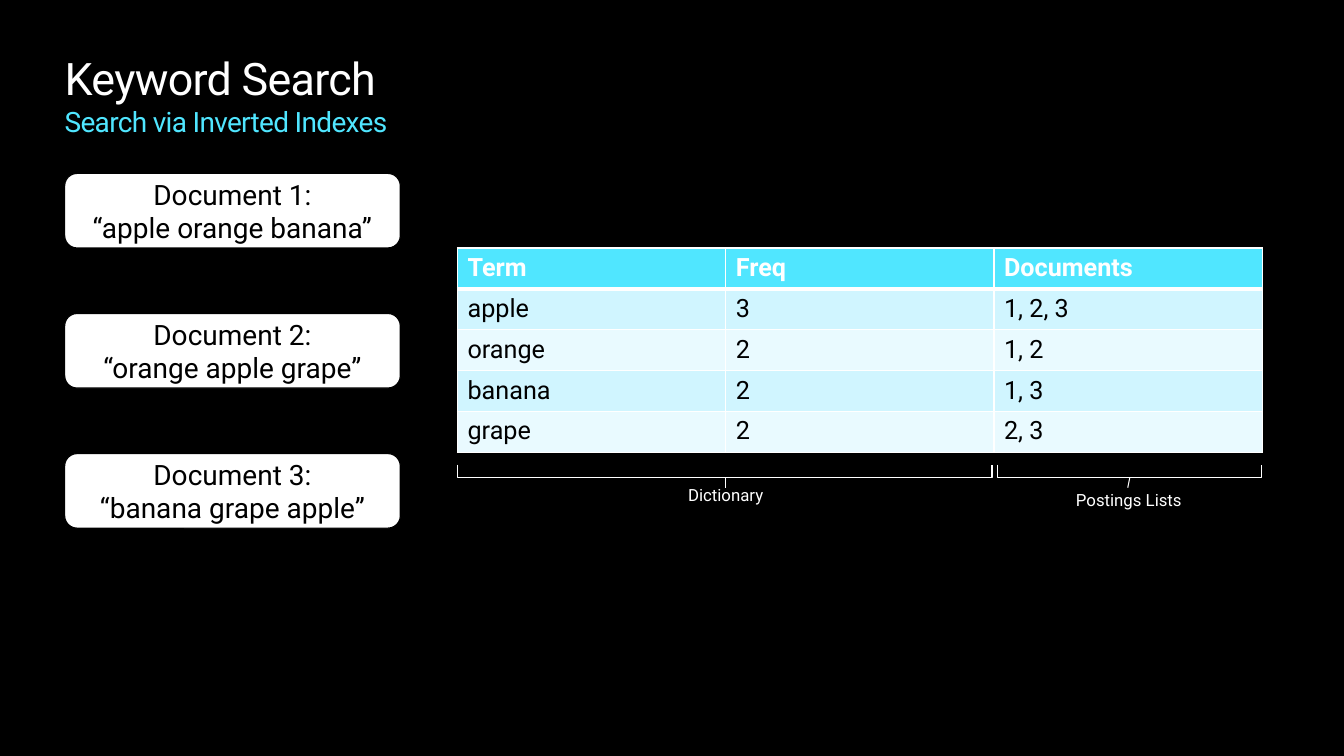
from pptx import Presentation
from pptx.dml.color import RGBColor
from pptx.enum.shapes import MSO_CONNECTOR as Connector, MSO_SHAPE as Preset
from pptx.enum.text import MSO_ANCHOR as Anchor, PP_ALIGN as Align
from pptx.oxml.ns import qn
from pptx.util import Cm, Pt
from lxml.etree import SubElement

FONT = "Roboto"
BLACK, WHITE, CYAN = "000000", "FFFFFF", "50E6FF"
BANDS = ("D0F5FF", "E9FAFF")
MARGIN = 1.63
TABLE_LEFT, TABLE_TOP = 11.53, 6.25
COLUMN_WIDTH, ROW_HEIGHT = 6.76, 1.03
BRACKET_TOP, BRACKET_BOTTOM, STEM_BOTTOM = 11.71, 12.04, 12.29

DOCUMENTS = ("apple orange banana", "orange apple grape", "banana grape apple")
INDEX = (
    ("Term", "Freq", "Documents"),
    ("apple", "3", "1, 2, 3"),
    ("orange", "2", "1, 2"),
    ("banana", "2", "1, 3"),
    ("grape", "2", "2, 3"),
)


def rgb(value):
    """Turn a hex string into a colour."""
    return RGBColor.from_string(value)


def style_font(font, size, color, bold=False):
    """Set the face, size, colour and weight of a font."""
    font.name, font.size, font.bold = FONT, Pt(size), bold
    font.color.rgb = rgb(color)


def clear_margins(text_frame):
    """Wrap the text and remove the insets."""
    text_frame.word_wrap = True
    text_frame.margin_left = text_frame.margin_right = 0
    text_frame.margin_top = text_frame.margin_bottom = 0


def add_text_frame(slide, left, top, width, height):
    """Add a text box and return its text frame."""
    box = slide.shapes.add_textbox(Cm(left), Cm(top), Cm(width), Cm(height))
    clear_margins(box.text_frame)
    return box.text_frame


def add_title(slide, title, subtitle):
    """Add the title with its subtitle on the next line."""
    text_frame = add_text_frame(slide, MARGIN, 1.27, 30.61, 2.24)
    paragraph = text_frame.paragraphs[0]
    paragraph.text = f"{title}\v{subtitle}"
    for run, size, color in zip(paragraph.runs, (32, 20), (WHITE, CYAN)):
        style_font(run.font, size, color)
        run.font._element.set("spc", "-50")


def add_document(slide, number, content):
    """Add one document card."""
    top = 4.37 + 3.53 * (number - 1)
    shape = slide.shapes.add_shape(
        Preset.ROUNDED_RECTANGLE, Cm(MARGIN), Cm(top), Cm(8.46), Cm(1.88))
    shape.shadow.inherit = False
    shape.fill.solid()
    shape.fill.fore_color.rgb = rgb(WHITE)
    shape.line.color.rgb = rgb(BLACK)
    shape.line.width = Pt(0.85)
    text_frame = shape.text_frame
    clear_margins(text_frame)
    text_frame.vertical_anchor = Anchor.MIDDLE
    text_frame.text = f"Document {number}:\n“{content}”"
    for paragraph in text_frame.paragraphs:
        paragraph.alignment = Align.CENTER
        style_font(paragraph.runs[0].font, 20, BLACK)


def add_cell_borders(cell, top, bottom):
    """Draw white borders around a cell, widths in points."""
    properties = cell._tc.get_or_add_tcPr()
    for tag, width in (("lnL", 1), ("lnR", 1), ("lnT", top), ("lnB", bottom)):
        line = SubElement(properties, qn(f"a:{tag}"), w=str(Pt(width)))
        fill = SubElement(line, qn("a:solidFill"))
        SubElement(fill, qn("a:srgbClr"), val=WHITE)


def add_index_table(slide):
    """Add the inverted index with a header and banded rows."""
    row_count, column_count = len(INDEX), len(INDEX[0])
    table = slide.shapes.add_table(
        row_count, column_count, Cm(TABLE_LEFT), Cm(TABLE_TOP),
        Cm(COLUMN_WIDTH * column_count), Cm(ROW_HEIGHT * row_count)).table
    for column in table.columns:
        column.width = Cm(COLUMN_WIDTH)
    for row_number, values in enumerate(INDEX):
        table.rows[row_number].height = Cm(ROW_HEIGHT)
        header = row_number == 0
        for column_number, value in enumerate(values):
            cell = table.cell(row_number, column_number)
            add_cell_borders(cell, 3 if row_number == 1 else 1, 3 if header else 1)
            cell.fill.solid()
            cell.fill.fore_color.rgb = rgb(CYAN if header else BANDS[(row_number - 1) % 2])
            cell.text_frame.text = value
            font = cell.text_frame.paragraphs[0].runs[0].font
            style_font(font, 18, WHITE if header else BLACK, header)


def style_line(shape):
    """Give an outline the thin white stroke."""
    shape.line.color.rgb = rgb(WHITE)
    shape.line.width = Pt(0.75)


def add_bracket(slide, left, right, stem_top_x, stem_bottom_x):
    """Add an open bracket below the table with its stem."""
    builder = slide.shapes.build_freeform(Cm(left), Cm(BRACKET_TOP))
    corners = ((left, BRACKET_BOTTOM), (right, BRACKET_BOTTOM), (right, BRACKET_TOP))
    builder.add_line_segments([(Cm(x), Cm(y)) for x, y in corners], close=False)
    bracket = builder.convert_to_shape()
    bracket.shadow.inherit = False
    bracket.fill.background()
    style_line(bracket)
    stem = slide.shapes.add_connector(
        Connector.STRAIGHT, Cm(stem_top_x), Cm(BRACKET_BOTTOM),
        Cm(stem_bottom_x), Cm(STEM_BOTTOM))
    SubElement(stem._element.spPr, qn("a:effectLst"))
    style_line(stem)


def add_label(slide, text, left, top):
    """Add a centred bracket label."""
    text_frame = add_text_frame(slide, left, top, COLUMN_WIDTH, 0.51)
    text_frame.text = text
    paragraph = text_frame.paragraphs[0]
    paragraph.alignment = Align.CENTER
    style_font(paragraph.runs[0].font, 12, WHITE)


def main():
    """Build and save the slide."""
    presentation = Presentation()
    presentation.slide_width, presentation.slide_height = Cm(33.87), Cm(19.05)
    slide = presentation.slides.add_slide(presentation.slide_layouts[6])
    slide.background.fill.solid()
    slide.background.fill.fore_color.rgb = rgb(BLACK)
    add_title(slide, "Keyword Search", "Search via Inverted Indexes")
    for number, content in enumerate(DOCUMENTS, 1):
        add_document(slide, number, content)
    add_index_table(slide)
    add_bracket(slide, TABLE_LEFT, 25, 18.29, 18.29)
    add_label(slide, "Dictionary", 14.91, 12.22)
    add_bracket(slide, 25.15, 31.8, 28.47, 28.42)
    add_label(slide, "Postings Lists", 25.07, 12.34)
    presentation.save("out.pptx")


if __name__ == "__main__":
    main()
